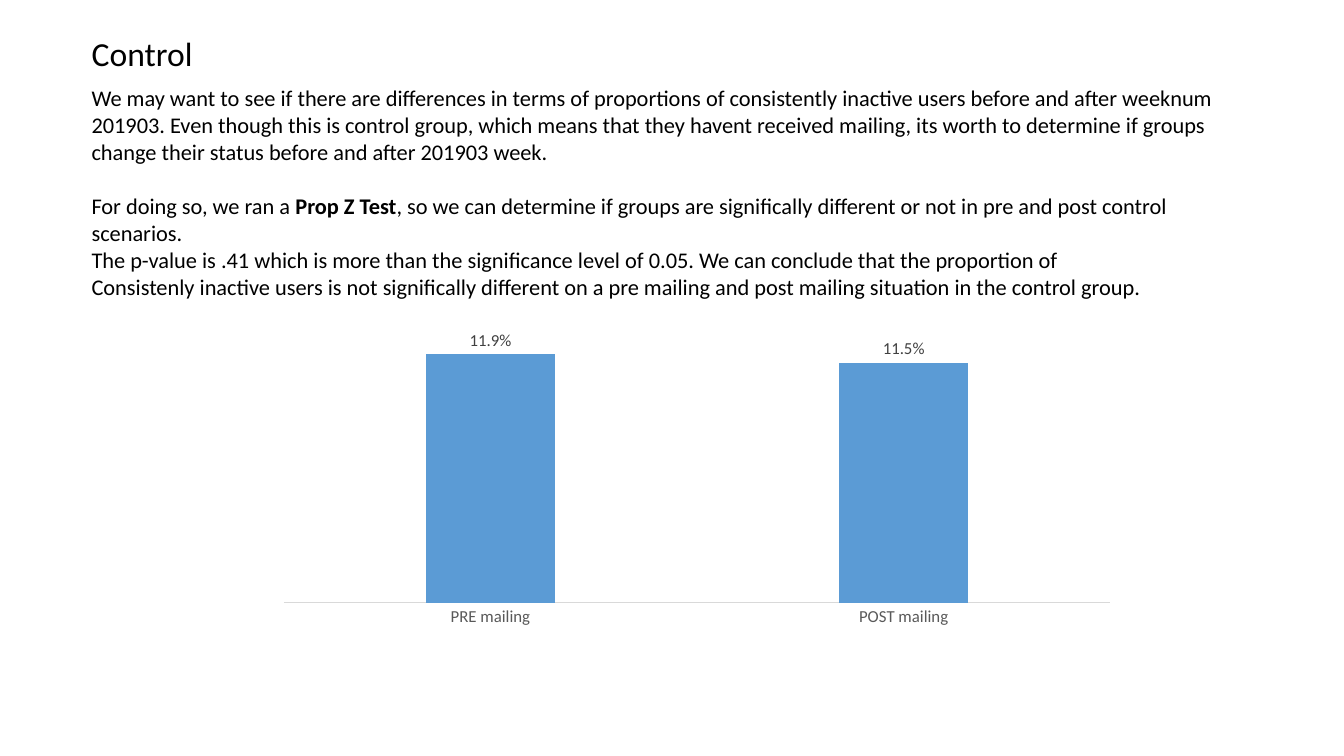
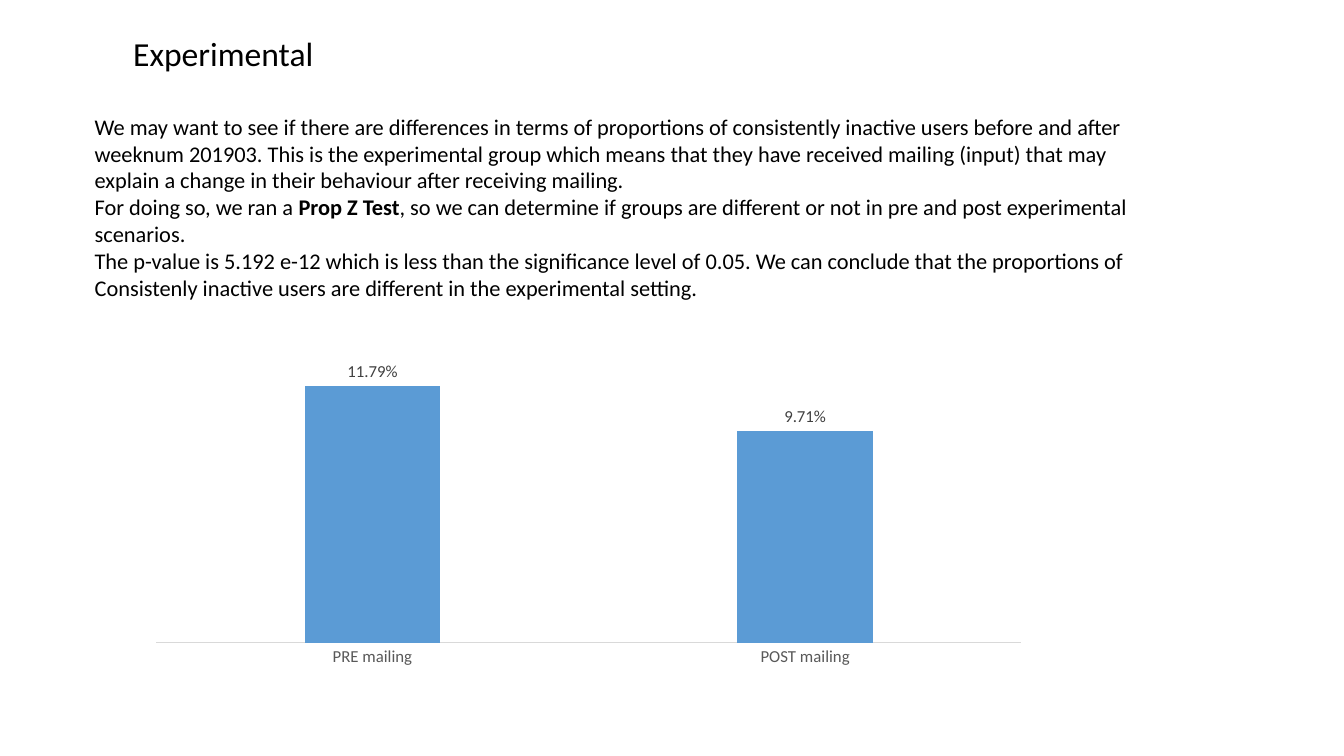
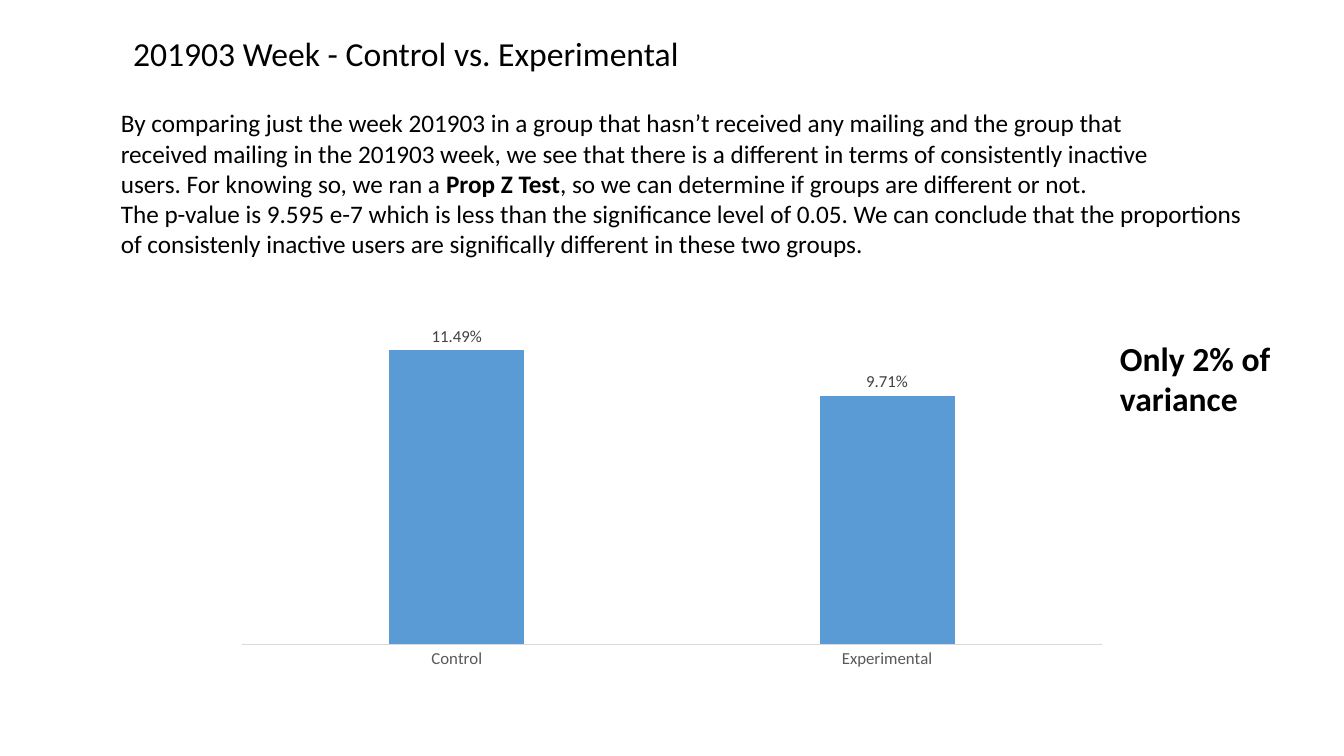
"""Build three slides on mailing tests, each with a title, prose and a column chart."""
from lxml import etree
from pptx import Presentation
from pptx.chart.data import CategoryChartData as ChartData
from pptx.dml.color import RGBColor
from pptx.enum.chart import XL_CHART_TYPE as Kind, XL_LABEL_POSITION as Spot, XL_TICK_MARK as Tick
from pptx.enum.text import MSO_ANCHOR as Anchor, MSO_AUTO_SIZE as Fit, PP_ALIGN as Align
from pptx.util import Inches, Pt

FONT = "Calibri"
BLACK, BLUE, LABEL, AXIS, LINE = "000000", "5B9BD5", "404040", "595959", "D9D9D9"
BOLD = "Prop Z Test"
MAIL = ("PRE mailing", "POST mailing")

SLIDES = [
    {
        "title": ("Control", 0.81, 1.21),
        "body": (0.81, 0.79, 11.77, 2.26),
        "size": 16,
        "gaps": {1: 19.5},
        "text": [
            "We may want to see if there are differences in terms of proportions of consistently inactive users before and after weeknum 201903. Even though this is control group, which means that they havent received mailing, its worth to determine if groups change their status before and after 201903 week.",
            "For doing so, we ran a Prop Z Test, so we can determine if groups are significally different or not in pre and post control scenarios.",
            "The p-value is .41 which is more than the significance level of 0.05. We can conclude that the proportion of",
            "Consistenly inactive users is not significally different on a pre mailing and post mailing situation in the control group.",
        ],
        "chart": (2.22, 3.01, 8.89, 3.3),
        "cats": MAIL,
        "vals": (0.119, 0.115),
        "format": "0.0%",
        "plot": {"x": 0.067, "y": 0.021, "w": 0.922, "h": 0.88},
    },
    {
        "title": ("Experimental", 1.22, 2.01),
        "body": (0.84, 1.07, 10.48, 1.99),
        "size": 16,
        "text": [
            "We may want to see if there are differences in terms of proportions of consistently inactive users before and after weeknum 201903. This is the experimental group which means that they have received mailing (input) that may explain a change in their behaviour after receiving mailing.",
            "For doing so, we ran a Prop Z Test, so we can determine if groups are different or not in pre and post experimental scenarios.",
            "The p-value is 5.192 e-12 which is less than the significance level of 0.05. We can conclude that the proportions of",
            "Consistenly inactive users are different in the experimental setting.",
        ],
        "chart": (1.37, 3.28, 8.94, 3.4),
        "cats": MAIL,
        "vals": (0.1179, 0.0971),
        "format": "0.00%",
    },
    {
        "title": ("201903 Week - Control vs. Experimental", 1.22, 5.66),
        "body": (1.1, 1.02, 11.46, 1.92),
        "size": 18,
        "text": [
            "By comparing just the week 201903 in a group that hasn’t received any mailing and the group that",
            "received mailing in the 201903 week, we see that there is a different in terms of consistently inactive",
            "users. For knowing so, we ran a Prop Z Test, so we can determine if groups are different or not.",
            "The p-value is 9.595 e-7 which is less than the significance level of 0.05. We can conclude that the proportions of consistenly inactive users are significally different in these two groups.",
        ],
        "chart": (2.22, 2.76, 8.89, 3.95),
        "cats": ("Control", "Experimental"),
        "vals": (0.1149, 0.0971),
        "format": "0.00%",
        "note": ("Only 2% of variance", (11.01, 3.3, 1.86, 0.91)),
    },
]


def color(code):
    return RGBColor.from_string(code)


def style(font, size, code=BLACK):
    font.name, font.size = FONT, Pt(size)
    font.color.rgb = color(code)


def add_title(slide, text, left, width):
    title = slide.shapes.title
    title.left, title.top = Inches(left), Inches(0.28)
    title.width, title.height = Inches(width), Inches(0.5)
    frame = title.text_frame
    frame.text = text
    frame.word_wrap, frame.auto_size = False, Fit.NONE
    frame.vertical_anchor = Anchor.TOP
    para = frame.paragraphs[0]
    para.alignment = Align.LEFT
    style(para.font, 24)


def add_text(slide, box, lines, size, gaps):
    frame = slide.shapes.add_textbox(*map(Inches, box)).text_frame
    frame.word_wrap = True
    frame.text = "\n".join(lines)
    for i, para in enumerate(frame.paragraphs):
        style(para.font, size)
        para.space_before = Pt(gaps.get(i, 0))
        head, mark, tail = para.text.partition(BOLD)
        if mark:
            para.runs[0].text = head
            run = para.add_run()
            run.text, run.font.bold = mark, True
            para.add_run().text = tail
    return frame


def set_plot(chart, plot):
    area = chart.plots[0]._element.getparent()
    space = area.nsmap["c"]
    for old in area.findall(f"{{{space}}}layout"):
        area.remove(old)
    layout = etree.Element(f"{{{space}}}layout")
    manual = etree.SubElement(layout, f"{{{space}}}manualLayout")
    parts = {"layoutTarget": "inner", "xMode": "edge", "yMode": "edge", **plot}
    for name, val in parts.items():
        etree.SubElement(manual, f"{{{space}}}{name}", val=str(val))
    area.insert(0, layout)


def add_chart(slide, item):
    data = ChartData(number_format=item["format"])
    data.categories = item["cats"]
    data.add_series("Series 1", item["vals"])
    box = map(Inches, item["chart"])
    chart = slide.shapes.add_chart(Kind.COLUMN_CLUSTERED, *box, data).chart
    chart.has_title = chart.has_legend = False
    style(chart.font, 10)

    cat = chart.category_axis
    cat.major_tick_mark = cat.minor_tick_mark = Tick.NONE
    style(cat.tick_labels.font, 12, AXIS)
    cat.format.line.color.rgb = color(LINE)
    cat.format.line.width = Pt(0.75)

    val = chart.value_axis
    val.visible = val.has_major_gridlines = False
    val.minimum_scale, val.maximum_scale = 0, 0.14

    plot = chart.plots[0]
    plot.gap_width, plot.overlap = 219, -27
    plot.vary_by_categories = False
    fill = plot.series[0].format.fill
    fill.solid()
    fill.fore_color.rgb = color(BLUE)

    plot.has_data_labels = True
    labels = plot.data_labels
    labels.show_value = True
    labels.number_format, labels.number_format_is_linked = item["format"], False
    labels.position = Spot.OUTSIDE_END
    style(labels.font, 12, LABEL)
    if "plot" in item:
        set_plot(chart, item["plot"])


def main():
    deck = Presentation()
    deck.slide_width, deck.slide_height = Inches(13.33), Inches(7.5)
    for item in SLIDES:
        slide = deck.slides.add_slide(deck.slide_layouts[5])
        add_chart(slide, item)
        add_title(slide, *item["title"])
        add_text(slide, item["body"], item["text"], item["size"], item.get("gaps", {}))
        if "note" in item:
            text, box = item["note"]
            add_text(slide, box, [text], 24, {}).paragraphs[0].font.bold = True
    deck.save("out.pptx")


if __name__ == "__main__":
    main()
